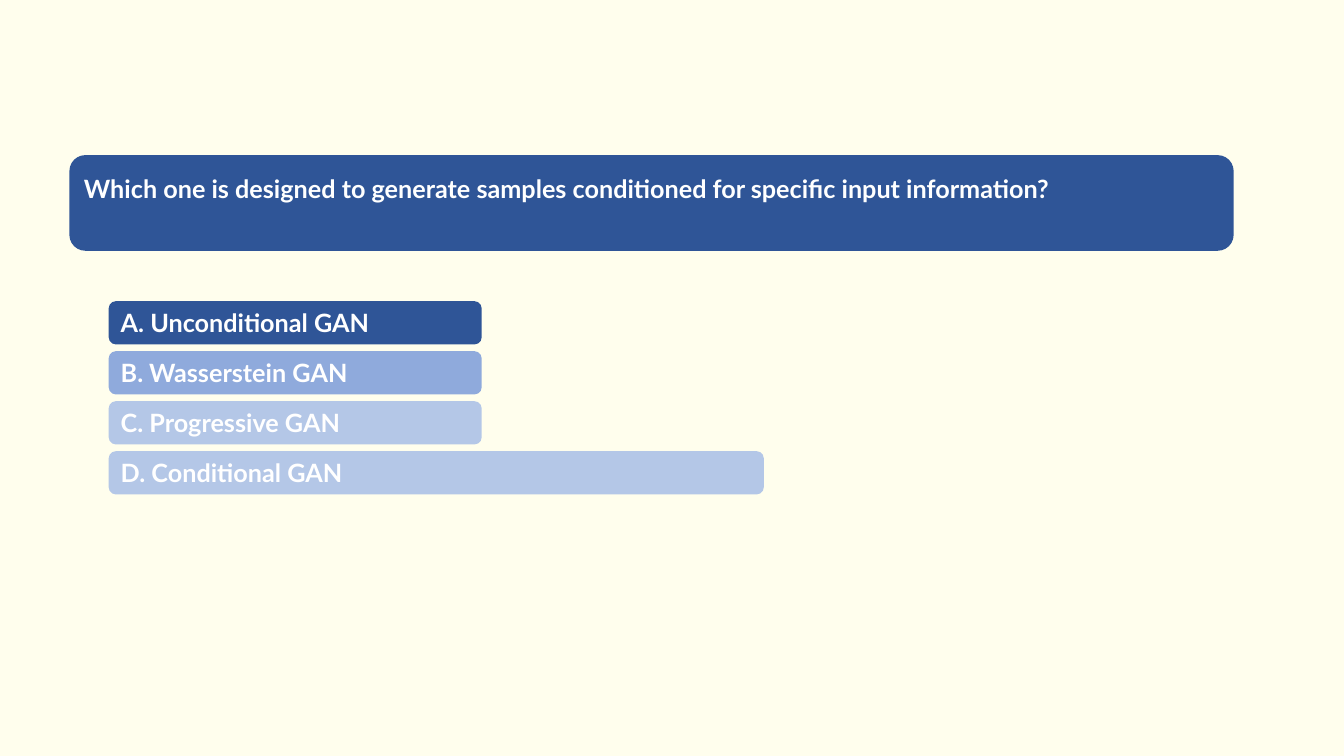
from pptx import Presentation
from pptx.dml.color import RGBColor
from pptx.enum.shapes import MSO_SHAPE
from pptx.enum.text import MSO_ANCHOR, PP_ALIGN
from pptx.util import Cm, Pt

NAVY, BLUE, PALE = "2F5597", "8FAADC", "B4C7E7"
OPTIONS = [
    ("A. Unconditional GAN", NAVY, 9.4),
    ("B. Wasserstein GAN", BLUE, 9.4),
    ("C. Progressive GAN", PALE, 9.4),
    ("D. Conditional GAN", PALE, 16.51),
]


def paint(fill, color):
    fill.solid()
    fill.fore_color.rgb = RGBColor.from_string(color)


def write_text(shape, text, size=18, color="FFFFFF", bold=True,
               anchor=MSO_ANCHOR.MIDDLE, margin_top=0.13):
    frame = shape.text_frame
    frame.word_wrap = True
    frame.vertical_anchor = anchor
    frame.margin_top = Cm(margin_top)
    paragraph = frame.paragraphs[0]
    paragraph.alignment = PP_ALIGN.LEFT
    run = paragraph.add_run()
    run.text = text
    run.font.name = "Lato"
    run.font.size = Pt(size)
    run.font.bold = bold
    paint(run.font.fill, color)


def add_bar(slide, left, top, width, height, color):
    shape = slide.shapes.add_shape(
        MSO_SHAPE.ROUNDED_RECTANGLE, Cm(left), Cm(top), Cm(width), Cm(height))
    shape.shadow.inherit = False
    shape.line.fill.background()
    paint(shape.fill, color)
    return shape


def add_question(slide, left, top, width, height, text):
    bar = add_bar(slide, left, top, width, height, NAVY)
    write_text(bar, text, anchor=MSO_ANCHOR.TOP, margin_top=0.33)


def add_options(slide, left, top, height, pitch, options):
    for index, (text, color, width) in enumerate(options):
        bar = add_bar(slide, left, top + index * pitch, width, height, color)
        write_text(bar, text)


def main():
    presentation = Presentation()
    presentation.slide_width = Cm(33.87)
    presentation.slide_height = Cm(19.05)
    slide = presentation.slides.add_slide(presentation.slide_layouts[6])
    paint(slide.background.fill, "FFFEED")
    add_question(slide, 1.75, 3.91, 29.34, 2.41,
                 "Which one is designed to generate samples conditioned "
                 "for specific input information?")
    add_options(slide, 2.74, 7.59, 1.09, 1.26, OPTIONS)
    presentation.save("out.pptx")


if __name__ == "__main__":
    main()
